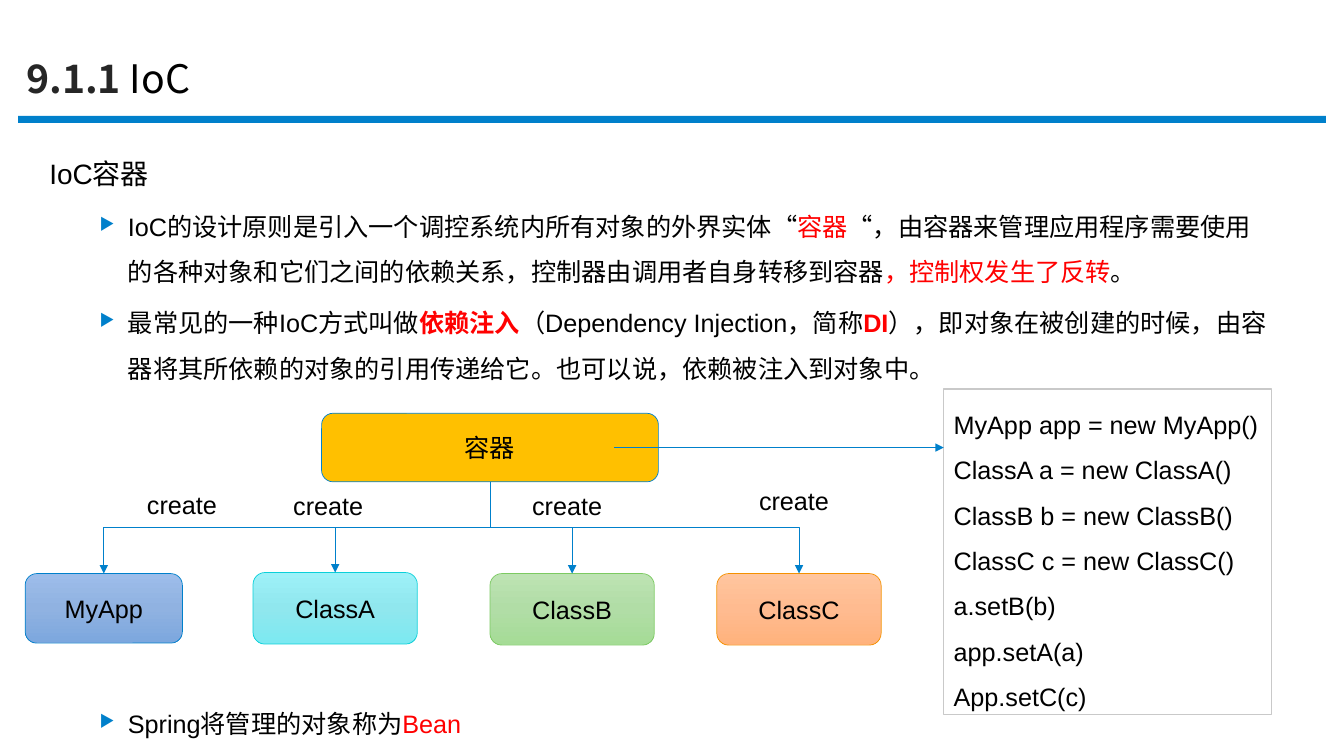
from copy import deepcopy

from lxml.etree import SubElement
from pptx import Presentation
from pptx.dml.color import RGBColor
from pptx.enum.shapes import MSO_CONNECTOR, MSO_SHAPE
from pptx.enum.text import MSO_ANCHOR, MSO_AUTO_SIZE, PP_ALIGN
from pptx.oxml.ns import qn
from pptx.util import Inches, Pt

BLACK = RGBColor(0x00, 0x00, 0x00)
WHITE = RGBColor(0xFF, 0xFF, 0xFF)
RED = RGBColor(0xFF, 0x00, 0x00)
BLUE = RGBColor(0x00, 0x80, 0xCB)
CHARCOAL = RGBColor(0x26, 0x26, 0x26)
GOLD = RGBColor(0xFF, 0xC0, 0x00)
GREY = RGBColor(0xC9, 0xC9, 0xC9)
CJK_FONT = "Noto Sans CJK SC"

TITLE = [("9.1.1 ", CHARCOAL, True), ("IoC", BLACK, False)]
HEADING = [("IoC容器", BLACK, False)]
POINTS = [
    [
        ("IoC的设计原则是引入一个调控系统内所有对象的外界实体“", BLACK, False),
        ("容器", RED, False),
        ("“，由容器来管理应用程序需要使用的各种对象和它们之间的依赖关系，控制器由调用者自身转移到容器", BLACK, False),
        ("，控制权发生了反转", RED, False),
        ("。", BLACK, False),
    ],
    [
        ("最常见的一种IoC方式叫做", BLACK, False),
        ("依赖注入", RED, True),
        ("（Dependency Injection，简称", BLACK, False),
        ("DI", RED, True),
        ("），即对象在被创建的时候，由容器将其所依赖的对象的引用传递给它。也可以说，依赖被注入到对象中。", BLACK, False),
    ],
]
CLOSING = [("Spring将管理的对象称为", BLACK, False), ("Bean", RED, False)]
CODE = [
    "MyApp app = new MyApp()",
    "ClassA a = new ClassA()",
    "ClassB b = new ClassB()",
    "ClassC c = new ClassC()",
    "a.setB(b)",
    "app.setA(a)",
    "App.setC(c)",
]
CONTAINER = (3.19, 4.1, 3.34, 0.68)
CLASSES = [
    ("MyApp", (0.25, 5.69, 1.56, 0.69), ("9DBDEA", "90B2E1", "7CA7DE"), "0080CB", (1.36, 4.81)),
    ("ClassA", (2.51, 5.68, 1.63, 0.71), ("9DF1F8", "90E7EE", "7CE9F1"), "0BD0D9", (2.81, 4.82)),
    ("ClassB", (4.86, 5.69, 1.63, 0.71), ("BDE3B3", "B1DDA6", "A5DC96"), "7CCA62", (5.18, 4.82)),
    ("ClassC", (7.11, 5.69, 1.63, 0.71), ("FFC59E", "FFBB90", "FFB27C"), "F49100", (7.43, 4.77)),
]


def write(frame, spans, new=False, size=18, font="Arial", align=PP_ALIGN.LEFT,
          spacing=None, before=None, indent=None, bullet=False):
    """Write one paragraph of (text, colour, bold) spans into a text frame."""
    para = frame.add_paragraph() if new else frame.paragraphs[0]
    para.alignment = align
    if spacing:
        para.line_spacing = spacing
    if before:
        para.space_before = Pt(before)
    properties = para._p.get_or_add_pPr()
    if indent:
        properties.set("marL", str(Inches(indent[0])))
        properties.set("indent", str(Inches(indent[1])))
    if bullet:
        colour = SubElement(properties, qn("a:buClr"))
        SubElement(colour, qn("a:srgbClr")).set("val", str(BLUE))
        SubElement(properties, qn("a:buSzPct")).set("val", "68000")
        SubElement(properties, qn("a:buChar")).set("char", "▶")
    for text, colour, bold in spans:
        span = para.add_run()
        span.text = text
        span.font.size = Pt(size)
        span.font.name = font
        span.font.bold = bold
        span.font.color.rgb = colour
        SubElement(span._r.get_or_add_rPr(), qn("a:ea")).set("typeface", CJK_FONT)


def add_text_box(page, area, wrap=True):
    """Add an empty text box and return its text frame."""
    frame = page.shapes.add_textbox(*map(Inches, area)).text_frame
    frame.word_wrap = wrap
    return frame


def add_box(page, kind, area, fill=None, line=None, weight=0.5):
    """Add a flat preset shape with an optional fill and outline."""
    box = page.shapes.add_shape(kind, *map(Inches, area))
    box.shadow.inherit = False
    if fill:
        box.fill.solid()
        box.fill.fore_color.rgb = fill
    if line:
        box.line.color.rgb = line
        box.line.width = Pt(weight)
    else:
        box.line.fill.background()
    return box


def label_box(box, text):
    """Centre a black label in a box."""
    box.text_frame.vertical_anchor = MSO_ANCHOR.MIDDLE
    write(box.text_frame, [(text, BLACK, False)], align=PP_ALIGN.CENTER)


def shade(box, colours):
    """Fill a box with a three-stop gradient running downwards."""
    box.fill.gradient()
    box.fill.gradient_angle = 270
    stop_list = box._element.spPr.find(".//" + qn("a:gsLst"))
    stop_list.insert(1, deepcopy(stop_list[0]))
    for index, (stop, colour) in enumerate(zip(box.fill.gradient_stops, colours)):
        stop.position = index / 2
        stop.color.rgb = RGBColor.from_string(colour)


def add_arrow(page, kind, *ends):
    """Add a thin blue connector with an arrowhead at its end."""
    arrow = page.shapes.add_connector(kind, *ends)
    arrow.line.color.rgb = BLUE
    arrow.line.width = Pt(0.5)
    SubElement(arrow.line._get_or_add_ln(), qn("a:tailEnd")).set("type", "triangle")
    SubElement(arrow._element.spPr, qn("a:effectLst"))
    return arrow


def add_branch(page, parent, child):
    """Join a parent's bottom to a child's top with an elbow that leaves downwards."""
    start_x, start_y = parent.left + parent.width // 2, parent.top + parent.height
    end_x, end_y = child.left + child.width // 2, child.top
    arrow = add_arrow(page, MSO_CONNECTOR.ELBOW, start_x, start_y, end_x, end_y)
    arrow.begin_connect(parent, 2)
    arrow.end_connect(child, 0)
    drop, reach = end_y - start_y, abs(end_x - start_x)
    arrow.left = (start_x + end_x - drop) // 2
    arrow.top = (start_y + end_y - reach) // 2
    arrow.width, arrow.height = drop, reach
    rightward = end_x > start_x
    frame = arrow._element.spPr.find(qn("a:xfrm"))
    frame.set("rot", str((270 if rightward else 90) * 60000))
    frame.set("flipH", "1" if rightward else "0")


def main():
    """Build the slide and save it."""
    deck = Presentation()
    deck.slide_width, deck.slide_height = Inches(13.33), Inches(7.5)
    page = deck.slides.add_slide(deck.slide_layouts[5])

    add_box(page, MSO_SHAPE.RECTANGLE, (0.18, 1.15, 12.97, 0.07), BLUE)
    title = page.shapes.title
    title.left, title.top, title.width, title.height = map(Inches, (0.16, 0.49, 7.06, 0.57))
    title.text_frame.auto_size = MSO_AUTO_SIZE.NONE
    title.text_frame.vertical_anchor = MSO_ANCHOR.TOP
    write(title.text_frame, TITLE, size=28, font=CJK_FONT)

    point_format = dict(spacing=1.5, indent=(0.9, -0.28), bullet=True)
    body = add_text_box(page, (0.27, 1.34, 12.48, 2.5))
    write(body, HEADING, size=20, spacing=1.5, indent=(0.12, 0))
    for point in POINTS:
        write(body, point, new=True, before=4, **point_format)
    write(add_text_box(page, (0.27, 6.83, 12.48, 0.55)), CLOSING, **point_format)

    container = add_box(page, MSO_SHAPE.ROUNDED_RECTANGLE, CONTAINER, GOLD, BLUE)
    label_box(container, "容器")
    for name, area, colours, outline, caption_at in CLASSES:
        box = add_box(page, MSO_SHAPE.ROUNDED_RECTANGLE, area, line=RGBColor.from_string(outline))
        shade(box, colours)
        label_box(box, name)
        add_branch(page, container, box)
        write(add_text_box(page, (*caption_at, 0.9, 0.4), wrap=False), [("create", BLACK, False)])

    code_box = add_box(page, MSO_SHAPE.RECTANGLE, (9.36, 3.86, 3.25, 3.23), WHITE, GREY, 1)
    code_box.text_frame.word_wrap = False
    code_box.text_frame.vertical_anchor = MSO_ANCHOR.TOP
    for index, line in enumerate(CODE):
        write(code_box.text_frame, [(line, BLACK, False)], new=index > 0, spacing=1.5)
    add_arrow(page, MSO_CONNECTOR.STRAIGHT, *map(Inches, (6.09, 4.44, 9.36, 4.44)))

    deck.save("out.pptx")


if __name__ == "__main__":
    main()
